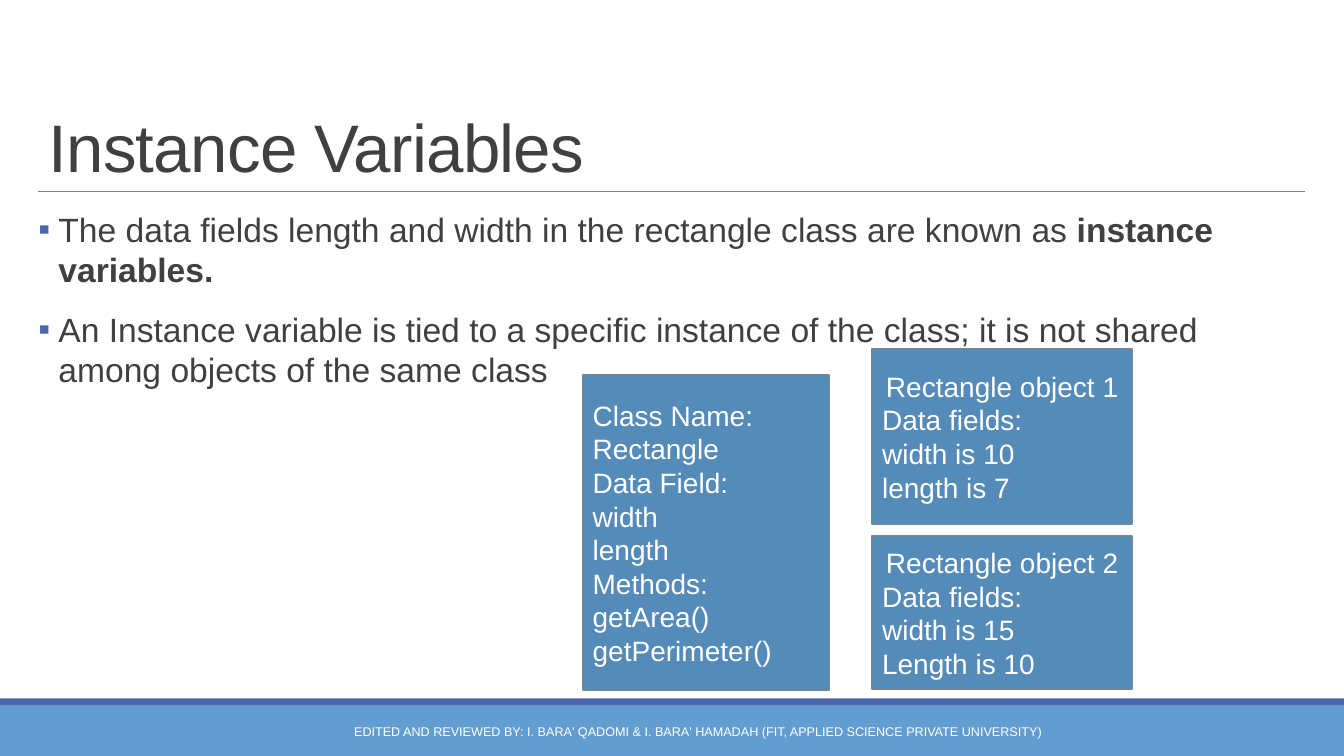
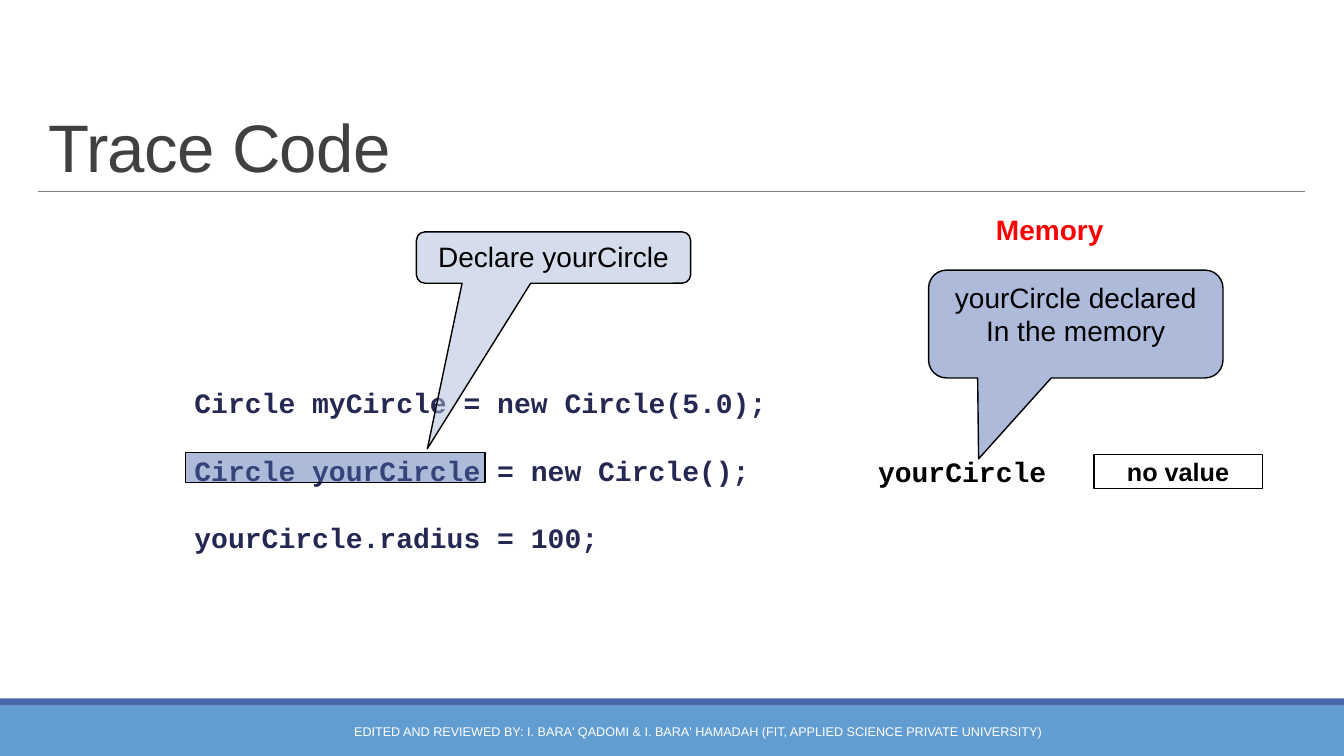
from pptx import Presentation
from pptx.dml.color import RGBColor
from pptx.enum import shapes as es, text as et
from pptx.oxml import xmlchemy as xc
from pptx.oxml.ns import qn
from pptx.util import Inches, Pt
from lxml import etree

WHITE = RGBColor(0xFF, 0xFF, 0xFF)
BLACK = RGBColor(0, 0, 0)
RED = RGBColor(0xFF, 0, 0)
DARK = RGBColor(0x40, 0x40, 0x40)
GRAY = RGBColor(0x80, 0x80, 0x80)
NAVY = RGBColor(0x24, 0x28, 0x52)
INDIGO = RGBColor(0x4A, 0x66, 0xAC)
SKY = RGBColor(0x62, 0x9D, 0xD1)
STEEL = RGBColor(0x55, 0x8B, 0xB8)
EDGE = RGBColor(0x6D, 0x87, 0x9B)
PALE = RGBColor(0xAD, 0xBA, 0xDA)

SANS, MONO = "Arial", "Courier New"
LEFT, WIDE, RULE = 0.38, 12.56, 1.9
FOOTER = ("EDITED AND REVIEWED BY: I. BARA' QADOMI & I. BARA' HAMADAH "
          "(FIT, APPLIED SCIENCE PRIVATE UNIVERSITY)")
CENTER, START = et.PP_ALIGN.CENTER, et.PP_ALIGN.LEFT
TOP, MIDDLE, BOTTOM = et.MSO_ANCHOR.TOP, et.MSO_ANCHOR.MIDDLE, et.MSO_ANCHOR.BOTTOM
RECT = es.MSO_SHAPE.RECTANGLE
CALLOUT = es.MSO_SHAPE.ROUNDED_RECTANGULAR_CALLOUT


def style(font, color, **look):
    """Set the font from format values; sizes are in points."""
    look = {"name": SANS, "size": 20, **look}
    look["size"] = Pt(look["size"])
    for key, value in look.items():
        setattr(font, key, value)
    font.color.rgb = color


def place(shape, box):
    for key, value in zip(("left", "top", "width", "height"), box):
        setattr(shape, key, Inches(value))


def write(shape, lines, color, align=START, anchor=TOP, gap=0, **look):
    """Fill the shape with one paragraph a line, gap points apart."""
    frame = shape.text_frame
    frame.word_wrap = True
    frame.vertical_anchor = anchor
    frame.text = "\n".join(lines)
    for para in frame.paragraphs:
        para.alignment = align
        para.space_after = Pt(gap)
        for run in para.runs:
            style(run.font, color, **look)
    return frame


def label(slide, box, lines, color, **look):
    text = slide.shapes.add_textbox(*map(Inches, box))
    return write(text, lines, color, **look)


def block(slide, box, fill=None, line=None, width=1, kind=RECT, alpha=None):
    """Add a preset shape; alpha is the fill's opacity in percent."""
    shape = slide.shapes.add_shape(kind, *map(Inches, box))
    shape.shadow.inherit = False
    if fill is None:
        shape.fill.background()
    else:
        shape.fill.solid()
        shape.fill.fore_color.rgb = fill
    if line is None:
        shape.line.fill.background()
    else:
        shape.line.color.rgb = line
        shape.line.width = Pt(width)
    if alpha:
        tone = shape.element.spPr.find(qn("a:solidFill"))[0]
        etree.SubElement(tone, qn("a:alpha"), val=str(alpha * 1000))
    return shape


def callout(slide, box, tip, words, alpha=None):
    shape = block(slide, box, PALE, BLACK, kind=CALLOUT, alpha=alpha)
    for i, value in enumerate((*tip, 0.167)):
        shape.adjustments[i] = value
    write(shape, [words], BLACK, align=CENTER)


def dress(deck, slide):
    """Draw the bands and the title rule, then move them to the master."""
    rule = slide.shapes.add_connector(
        es.MSO_CONNECTOR.STRAIGHT,
        *map(Inches, (LEFT, RULE, LEFT + WIDE, RULE)))
    rule.line.color.rgb = GRAY
    rule.line.width = Pt(0.5)
    etree.SubElement(rule.element.spPr, qn("a:effectLst"))
    parts = [block(slide, (0, 7, 13.33, 0.5), SKY),
             block(slide, (0, 6.93, 13.33, 0.07), INDIGO), rule]
    tree = deck.slide_master.shapes.element
    for i, part in enumerate(parts):
        tree.insert(2 + i, part.element)


def begin(deck, layout, title):
    """Add a slide with its title and footer."""
    slide = deck.slides.add_slide(deck.slide_layouts[layout])
    head = slide.shapes.title
    place(head, (LEFT, 0.31, WIDE, RULE - 0.31))
    frame = write(head, [title], DARK, anchor=BOTTOM, size=48)
    frame.auto_size = et.MSO_AUTO_SIZE.NONE
    para = frame.paragraphs[0]
    para.line_spacing = 0.85
    para.runs[0].font._element.set("spc", "-50")
    label(slide, (3.11, 7.06, 7.62, 0.4), [FOOTER], WHITE,
          align=CENTER, anchor=MIDDLE, size=9)
    return slide


def bullets(slide, box, items):
    """Fill the body; each item is a list of (words, bold) runs."""
    body = slide.placeholders[1]
    place(body, box)
    frame = body.text_frame
    frame.auto_size = et.MSO_AUTO_SIZE.NONE
    frame.margin_left = frame.margin_right = 0
    for i, item in enumerate(items):
        para = frame.add_paragraph() if i else frame.paragraphs[0]
        para.space_before = Pt(12 if i else 0)
        para.space_after = Pt(2)
        props = para._p.get_or_add_pPr()
        props.set("marL", str(Inches(0.2)))
        props.set("indent", str(-Inches(0.2)))
        tint = etree.SubElement(props, qn("a:buClr"))
        etree.SubElement(tint, qn("a:srgbClr"), val=str(INDIGO))
        etree.SubElement(props, qn("a:buFont"), typeface=SANS)
        etree.SubElement(props, qn("a:buChar"), char="▪")
        for words, bold in item:
            run = para.add_run()
            run.text = words
            style(run.font, DARK, size=24, bold=bold)


def card(slide, box, lines, headed=False):
    """Add a class or object box; a headed one centres its first line."""
    shape = block(slide, box, STEEL, EDGE, 1.5)
    frame = write(shape, lines, WHITE, anchor=MIDDLE)
    if headed:
        frame.paragraphs[0].alignment = CENTER


def fields(deck):
    slide = begin(deck, 1, "Instance Variables")
    bullets(slide, (LEFT, 2.02, WIDE, 4.71), [
        [("The data fields length and width in the rectangle class "
          "are known as ", False), ("instance variables.", True)],
        [("An Instance variable is tied to a specific instance of the class; "
          "it is not shared among objects of the same class", False)]])
    card(slide, (5.78, 3.72, 2.44, 3.13), [
        "Class Name: Rectangle", "Data Field:", "width", "length",
        "Methods:", "getArea()", "getPerimeter()"])
    for top, high, name, *sizes in (
            (3.46, 1.74, "Rectangle object 1", "width is 10", "length is 7"),
            (5.32, 1.52, "Rectangle object 2", "width is 15", "Length is 10")):
        card(slide, (8.65, top, 2.58, high),
             [name, "Data fields:", *sizes], headed=True)
    return slide


def trace(deck):
    slide = begin(deck, 5, "Trace Code")
    label(slide, (1.83, 3.78, 6.02, 1.78), [
        "Circle myCircle = new Circle(5.0);",
        "Circle yourCircle = new Circle();",
        "yourCircle.radius = 100;"], NAVY, gap=24, name=MONO, bold=True)
    callout(slide, (4.13, 2.3, 2.72, 0.51), (-0.46, 3.72),
            "Declare yourCircle", alpha=50)
    value = block(slide, (10.85, 4.51, 1.67, 0.34), line=BLACK)
    frame = write(value, ["no value"], BLACK, align=CENTER, anchor=MIDDLE,
                  size=18, bold=True)
    for side in ("left", "top", "right", "bottom"):
        setattr(frame, "margin_" + side, Inches(0.01))
    label(slide, (8.61, 4.46, 1.88, 0.44), ["yourCircle"], BLACK,
          name=MONO, bold=True)
    block(slide, (1.84, 4.49, 2.97, 0.3), INDIGO, BLACK, alpha=45)
    label(slide, (9.78, 2.06, 1.75, 0.44), ["Memory"], RED, bold=True)
    callout(slide, (9.21, 2.68, 2.92, 1.07), (-0.33, 1.25),
            "yourCircle declared In the memory")


def main():
    deck = Presentation()
    deck.slide_width, deck.slide_height = Inches(13.33), Inches(7.5)
    dress(deck, fields(deck))
    trace(deck)
    deck.save("out.pptx")


if __name__ == "__main__":
    main()
